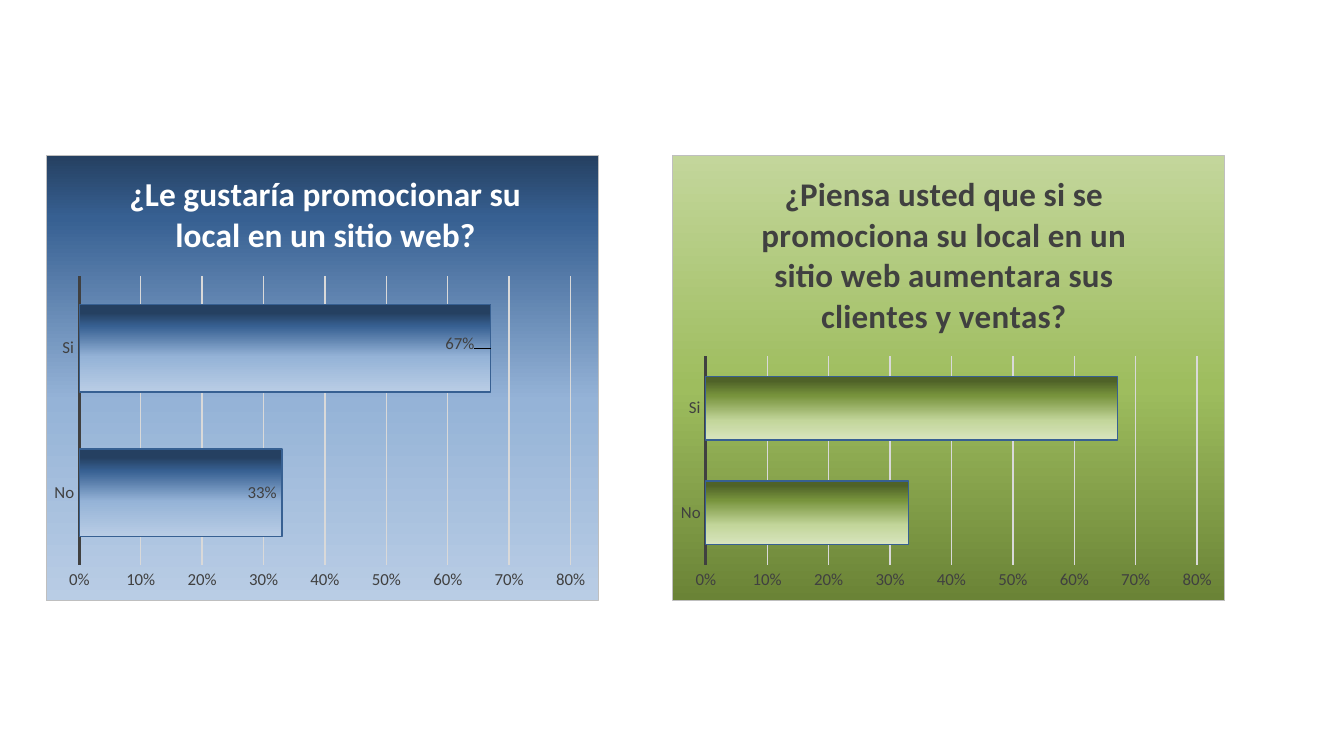
from pptx import Presentation
from pptx.chart.data import CategoryChartData
from pptx.dml.color import RGBColor
from pptx.enum.chart import XL_CHART_TYPE, XL_LABEL_POSITION, XL_TICK_MARK
from pptx.oxml import parse_xml
from pptx.oxml.ns import nsdecls
from pptx.util import Cm, Pt

COLORS = {
    "white": "FFFFFF", "text": "404040", "grid": "D9D9D9",
    "border": "BFBFBF", "bar_line": "376092",
}
BLUE_PANEL = [(0, "254061"), (14, "376092"), (55, "95B3D7"), (100, "B9CDE5")]
BLUE_BARS = [(10, "254061"), (25, "376092"), (60, "95B3D7"), (100, "B9CDE5")]
GREEN_PANEL = [(0, "6A8336"), (48, "9EBD5E"), (100, "C3D69B")]
GREEN_BARS = [(7, "4F6228"), (30, "77933C"), (70, "C3D69B"), (100, "D7E4BD")]

ANSWERS = {"No": 0.33, "Si": 0.67}
AXIS_FONT = {"name": "Calibri", "size": Pt(9), "bold": False}
TITLE_FONT = {"name": "Calibri", "bold": True}

CHARTS = [
    {
        "title": "¿Le gustaría promocionar su local en un sitio web?",
        "title_color": "white", "title_left": 0.14, "title_size": Pt(18),
        "left": Cm(0.86), "plot_top": 0.27, "panel": BLUE_PANEL,
        "panel_angle": 90, "bars": BLUE_BARS, "labels": True,
    },
    {
        "title": "¿Piensa usted que si se promociona su local en un sitio web "
                 "aumentara sus clientes y ventas?",
        "title_color": "text", "title_left": 0.15, "title_size": Pt(17.8),
        "left": Cm(12.7), "plot_top": 0.45, "panel": GREEN_PANEL,
        "panel_angle": 270, "bars": GREEN_BARS, "labels": False,
    },
]


def color(name):
    return RGBColor.from_string(COLORS[name])


def format_font(font, values, color_name):
    for key, value in values.items():
        setattr(font, key, value)
    font.color.rgb = color(color_name)


def format_line(line, color_name, width):
    line.color.rgb = color(color_name)
    line.width = Pt(width)


def gradient(stops, angle):
    marks = "".join(
        f'<a:gs pos="{position * 1000}"><a:srgbClr val="{value}"/></a:gs>'
        for position, value in stops)
    return parse_xml(
        f'<a:gradFill {nsdecls("a")} rotWithShape="1"><a:gsLst>{marks}</a:gsLst>'
        f'<a:lin ang="{angle * 60000}" scaled="0"/></a:gradFill>')


def layout(left, top, size=None, mode="edge"):
    """Return a manual layout in fractions of the chart; a size means the inner plot."""
    target = '<c:layoutTarget val="inner"/>' if size else ""
    values = {"x": left, "y": top}
    if size:
        values.update(w=size[0], h=size[1])
    modes = f'<c:xMode val="{mode}"/><c:yMode val="{mode}"/>'
    places = "".join(f'<c:{key} val="{value:.2f}"/>' for key, value in values.items())
    return parse_xml(f'<c:layout {nsdecls("c")}><c:manualLayout>{target}{modes}'
                     f'{places}</c:manualLayout></c:layout>')


def set_title(chart, settings):
    title = chart.chart_title
    para = title.text_frame.paragraphs[0]
    span = para.add_run()
    span.text = settings["title"]
    values = {**TITLE_FONT, "size": settings["title_size"]}
    format_font(span.font, values, settings["title_color"])
    title.include_in_layout = False
    element = title._element
    for old in element.findall(layout(0, 0).tag):
        element.remove(old)
    element.tx.addnext(layout(settings["title_left"], 0.02))


def set_axes(chart):
    for axis in (chart.category_axis, chart.value_axis):
        axis.major_tick_mark = axis.minor_tick_mark = XL_TICK_MARK.NONE
        format_font(axis.tick_labels.font, AXIS_FONT, "text")
    format_line(chart.category_axis.format.line, "text", 1.5)
    scale = chart.value_axis
    for key, value in {"minimum_scale": 0, "maximum_scale": 0.8, "major_unit": 0.1}.items():
        setattr(scale, key, value)
    scale.tick_labels.number_format = "0%"
    scale.tick_labels.number_format_is_linked = False
    scale.format.line.fill.background()
    format_line(scale.major_gridlines.format.line, "grid", 0.75)


def set_labels(series):
    labels = series.data_labels
    for key, value in {"show_value": True, "number_format": "0%",
                       "number_format_is_linked": False}.items():
        setattr(labels, key, value)
    yes_label = series.points[list(ANSWERS).index("Si")].data_label
    for target in (labels, yes_label):
        target.position = XL_LABEL_POSITION.INSIDE_END
        format_font(target.font, AXIS_FONT, "text")
    element = yes_label._get_or_add_dLbl()
    element.idx.addnext(layout(-0.02, -0.01, mode="factor"))


def set_bars(chart, settings):
    plot = chart.plots[0]
    plot.gap_width = 65
    plot.vary_by_categories = False
    series = plot.series[0]
    format_line(series.format.line, "bar_line", 0.75)
    series._element.get_or_add_spPr().insert(0, gradient(settings["bars"], 90))
    if settings["labels"]:
        set_labels(series)


def set_panel(chart, settings):
    """Fill and frame the chart area, and place the clear plot area in it."""
    panel = parse_xml(
        f'<c:spPr {nsdecls("c", "a")}><a:ln w="{Pt(0.75)}"><a:solidFill>'
        f'<a:srgbClr val="{COLORS["border"]}"/></a:solidFill></a:ln></c:spPr>')
    panel.insert(0, gradient(settings["panel"], settings["panel_angle"]))
    body = chart._chartSpace.chart
    body.addnext(panel)
    area = body.plotArea
    top = settings["plot_top"]
    plot_layout = layout(0.06, top, (0.89, 0.92 - top))
    for old in area.findall(plot_layout.tag):
        area.remove(old)
    area.insert(0, plot_layout)
    area.append(parse_xml(f'<c:spPr {nsdecls("c", "a")}><a:noFill/></c:spPr>'))


def add_survey_chart(page, settings):
    data = CategoryChartData(number_format="0%")
    data.categories = list(ANSWERS)
    data.add_series("Series 1", list(ANSWERS.values()))
    chart = page.shapes.add_chart(
        XL_CHART_TYPE.BAR_CLUSTERED, settings["left"], Cm(2.93),
        Cm(10.46), Cm(8.43), data).chart
    chart.has_legend = False
    chart.font.name = "Calibri"
    chart.font.size = Pt(10)
    set_title(chart, settings)
    set_axes(chart)
    set_bars(chart, settings)
    set_panel(chart, settings)


def main():
    deck = Presentation()
    deck.slide_width, deck.slide_height = Cm(25.4), Cm(14.28)
    page = deck.slides.add_slide(deck.slide_layouts[6])
    for settings in CHARTS:
        add_survey_chart(page, settings)
    deck.save("out.pptx")


if __name__ == "__main__":
    main()
